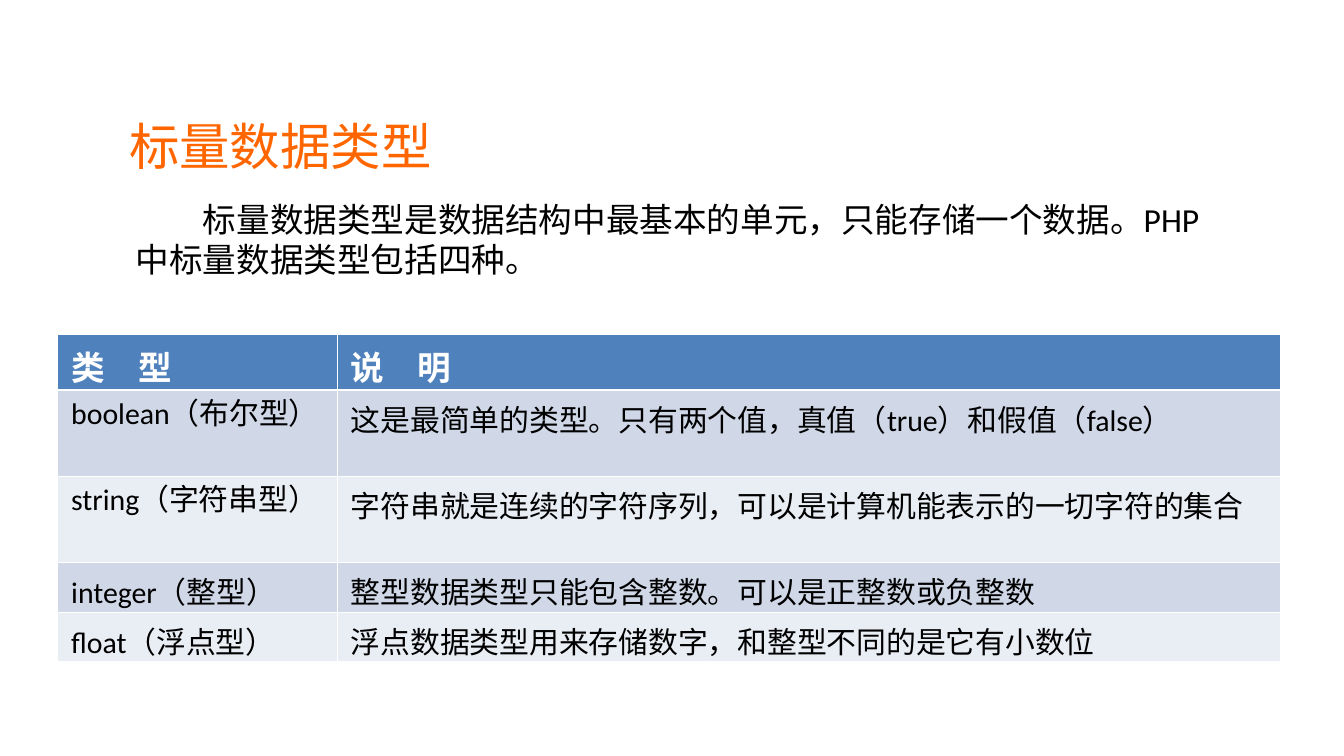
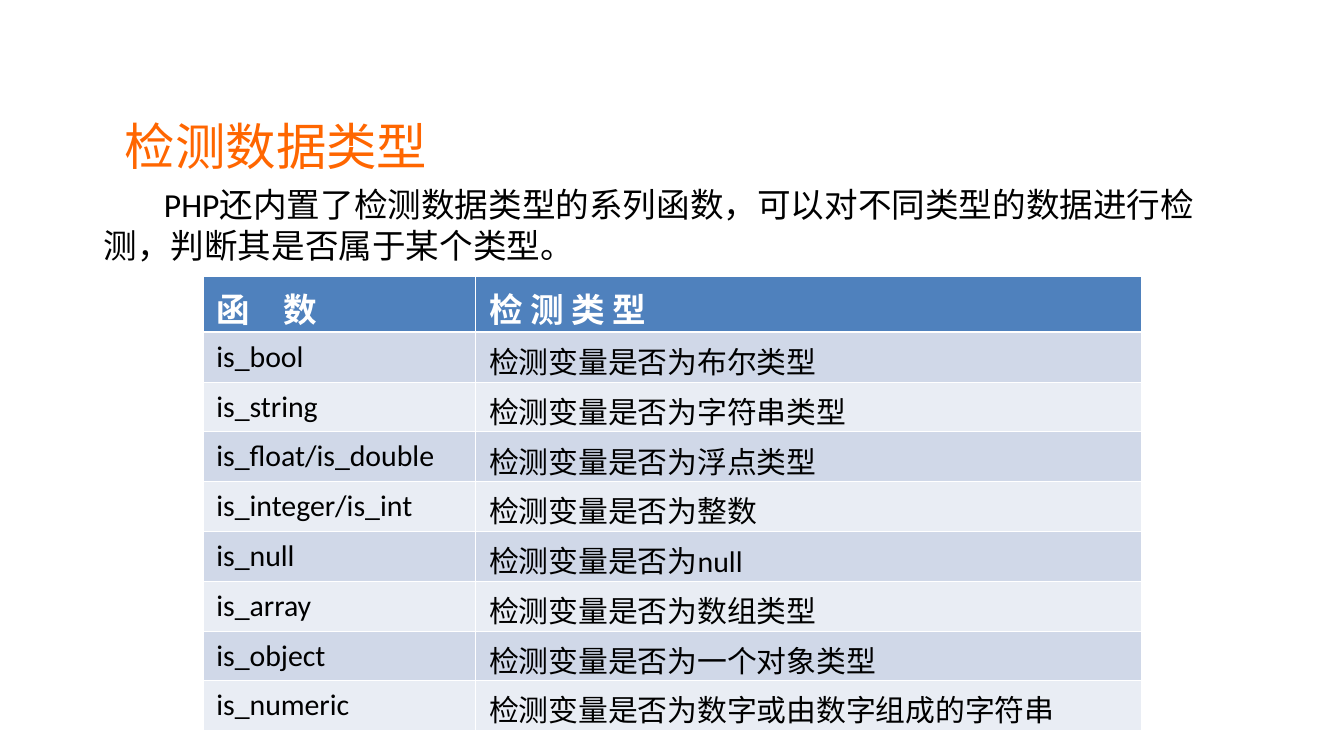
from dataclasses import dataclass

from lxml.etree import SubElement
from pptx import Presentation
from pptx.dml.color import RGBColor
from pptx.enum.text import MSO_ANCHOR, MSO_AUTO_SIZE, PP_ALIGN
from pptx.oxml.ns import qn
from pptx.util import Inches, Pt


@dataclass(frozen=True)
class Theme:
    accent: str = "FF6600"
    ink: str = "000000"
    white: str = "FFFFFF"
    header_fill: str = "4F81BD"
    row_fills: tuple = ("D0D8E8", "E9EDF4")
    title_font: str = "Arial"
    body_font: str = "Calibri"
    title_size: float = 27
    body_size: float = 18
    cell_size: float = 16
    thin_rule: float = 0.45
    header_rule: float = 1.47


HEADER_HEIGHT, ROW_HEIGHT, TWO_LINE_HEIGHT = 0.4, 0.37, 0.64


class Deck:
    def __init__(self, theme):
        self.theme = theme
        self.prs = Presentation()
        self.prs.slide_width = Inches(10)
        self.prs.slide_height = self.prs.slide_width * 9 // 16
        self.slide = None

    def new_slide(self):
        self.slide = self.prs.slides.add_slide(self.prs.slide_layouts[1])

    def style(self, paragraph, font_name, size, color, bold=False):
        for run in paragraph.runs:
            run.font.name = font_name
            run.font.size = Pt(size)
            run.font.bold = bold
            run.font.color.rgb = RGBColor.from_string(color)

    def fill_placeholder(self, placeholder, text, box, anchor, insets):
        """Move a placeholder, set its text and return its paragraph."""
        placeholder.left, placeholder.top, placeholder.width, placeholder.height = map(Inches, box)
        frame = placeholder.text_frame
        frame.text = text
        frame.word_wrap = True
        frame.auto_size = MSO_AUTO_SIZE.NONE
        frame.vertical_anchor = anchor
        frame.margin_left = frame.margin_right = Inches(insets[0])
        frame.margin_top = frame.margin_bottom = Inches(insets[1])
        return frame.paragraphs[0]

    def title(self, text, box, align):
        heading = self.fill_placeholder(
            self.slide.shapes.title, text, box, MSO_ANCHOR.MIDDLE, (0.08, 0.04))
        heading.alignment = align
        self.style(heading, self.theme.title_font, self.theme.title_size, self.theme.accent)

    def intro(self, text, box, indent, anchor, insets):
        """Unbulleted paragraph with a first-line indent."""
        passage = self.fill_placeholder(
            self.slide.placeholders[1], text, box, anchor, insets)
        passage.space_before = Pt(0)
        properties = passage._p.get_or_add_pPr()
        properties.set("marL", "0")
        properties.set("indent", str(Inches(indent)))
        SubElement(properties, qn("a:buNone"))
        self.style(passage, self.theme.body_font, self.theme.body_size, self.theme.ink)

    def cell_borders(self, cell, row):
        widths = {"L": self.theme.thin_rule, "R": self.theme.thin_rule,
                  "T": self.theme.header_rule if row == 1 else self.theme.thin_rule,
                  "B": self.theme.header_rule if row == 0 else self.theme.thin_rule}
        properties = cell._tc.get_or_add_tcPr()
        for side, width in widths.items():
            line = SubElement(properties, qn(f"a:ln{side}"), w=str(Pt(width)))
            SubElement(SubElement(line, qn("a:solidFill")), qn("a:srgbClr"), val=self.theme.white)

    def table(self, rows, left, top, column_widths, row_heights):
        theme = self.theme
        grid = self.slide.shapes.add_table(
            len(rows), len(column_widths), Inches(left), Inches(top),
            Inches(sum(column_widths)), Inches(sum(row_heights))).table
        for column, width in zip(grid.columns, column_widths):
            column.width = Inches(width)
        for r, (texts, height) in enumerate(zip(rows, row_heights)):
            grid.rows[r].height = Inches(height)
            header = r == 0
            fill = theme.header_fill if header else theme.row_fills[(r - 1) % 2]
            size = theme.body_size if header else theme.cell_size
            color = theme.white if header else theme.ink
            for c, text in enumerate(texts):
                cell = grid.cell(r, c)
                self.cell_borders(cell, r)
                cell.fill.solid()
                cell.fill.fore_color.rgb = RGBColor.from_string(fill)
                # Tall CJK lines would stretch the rows with the default insets.
                wraps = c == 0 and height == TWO_LINE_HEIGHT
                cell.margin_top = Inches(0 if wraps else 0.05)
                cell.margin_bottom = Inches(0)
                cell.text_frame.text = text
                entry = cell.text_frame.paragraphs[0]
                entry.space_before = Pt(size / 4)
                self.style(entry, theme.body_font, size, color, header)


SCALAR_TYPES = [
    ("类　型", "说　明"),
    ("boolean（布尔型）", "这是最简单的类型。只有两个值，真值（true）和假值（false）"),
    ("string（字符串型）", "字符串就是连续的字符序列，可以是计算机能表示的一切字符的集合"),
    ("integer（整型）", "整型数据类型只能包含整数。可以是正整数或负整数"),
    ("float（浮点型）", "浮点数据类型用来存储数字，和整型不同的是它有小数位"),
]

TYPE_CHECKS = [
    ("函　数", "检 测 类 型"),
    ("is_bool", "检测变量是否为布尔类型"),
    ("is_string", "检测变量是否为字符串类型"),
    ("is_float/is_double", "检测变量是否为浮点类型"),
    ("is_integer/is_int", "检测变量是否为整数"),
    ("is_null", "检测变量是否为null"),
    ("is_array", "检测变量是否为数组类型"),
    ("is_object", "检测变量是否为一个对象类型"),
    ("is_numeric", "检测变量是否为数字或由数字组成的字符串"),
]


def main():
    deck = Deck(Theme())

    deck.new_slide()
    deck.title("标量数据类型", (0.74, 0.7, 2.69, 0.77), PP_ALIGN.CENTER)
    deck.intro("标量数据类型是数据结构中最基本的单元，只能存储一个数据。PHP中标量数据类型包括四种。",
               (0.93, 1.44, 8.32, 0.68), 0.5, MSO_ANCHOR.TOP, (0.08, 0.04))
    deck.table(SCALAR_TYPES, 0.43, 2.49, (2.08, 7.02),
               [HEADER_HEIGHT] + [TWO_LINE_HEIGHT] * 2 + [ROW_HEIGHT] * 2)

    deck.new_slide()
    deck.title("检测数据类型", (0.85, 0.7, 3.87, 0.77), PP_ALIGN.LEFT)
    deck.intro("PHP还内置了检测数据类型的系列函数，可以对不同类型的数据进行检测，判断其是否属于某个类型。",
               (0.67, 1.32, 8.39, 0.7), 0.45, MSO_ANCHOR.MIDDLE, (0.1, 0.05))
    deck.table(TYPE_CHECKS, 1.51, 2.06, (2.03, 4.95),
               [HEADER_HEIGHT] + [ROW_HEIGHT] * (len(TYPE_CHECKS) - 1))

    deck.prs.save("out.pptx")


if __name__ == "__main__":
    main()
